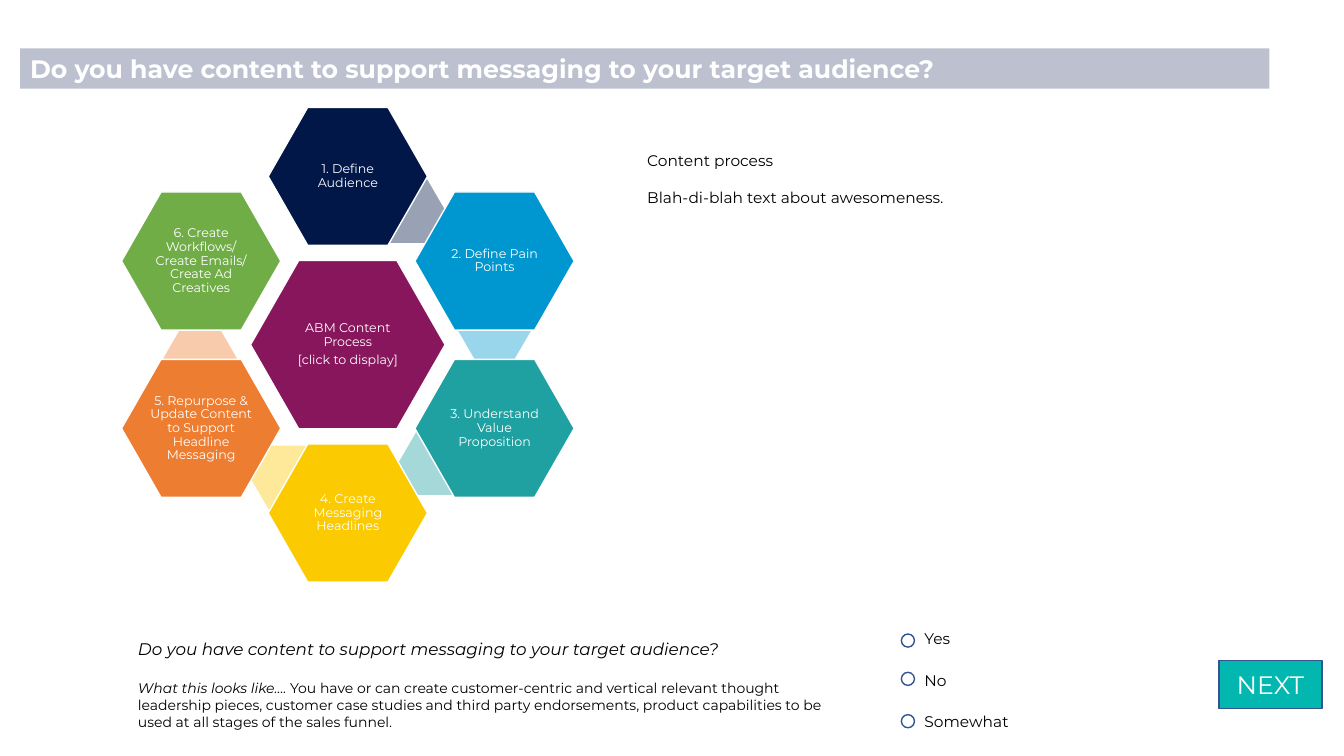
from lxml import etree
from pptx import Presentation
from pptx.dml.color import RGBColor
from pptx.enum import shapes, text
from pptx.oxml.ns import qn
from pptx.util import Inches, Pt

FONT = "Montserrat"
WHITE = RGBColor(0xFF, 0xFF, 0xFF)
BLACK = RGBColor(0x00, 0x00, 0x00)
BANNER = RGBColor(0x00, 0x0F, 0x48)
OUTLINE = RGBColor(0x32, 0x54, 0x91)
TURQUOISE = RGBColor(0x01, 0xB7, 0xB0)
PLUM = RGBColor(0x87, 0x16, 0x5C)
NAVY = RGBColor(0x00, 0x17, 0x48)
BLUE = RGBColor(0x00, 0x96, 0xCF)
TEAL = RGBColor(0x1F, 0xA0, 0xA1)
YELLOW = RGBColor(0xFB, 0xCA, 0x00)
ORANGE = RGBColor(0xED, 0x7D, 0x31)
GREEN = RGBColor(0x70, 0xAD, 0x47)

prs = Presentation()
prs.slide_width, prs.slide_height = Inches(13.33), Inches(7.5)
slide = prs.slides.add_slide(prs.slide_layouts[6])


def add_block(kind, left, top, width, height, fill, line=None, opacity=100):
    """Add a flat preset shape; opacity is a percentage."""
    block = slide.shapes.add_shape(
        kind, Inches(left), Inches(top), Inches(width), Inches(height))
    block.shadow.inherit = False
    block.fill.solid()
    block.fill.fore_color.rgb = fill
    if opacity < 100:
        color = block.fill._xPr.find(qn("a:solidFill"))[0]
        etree.SubElement(color, qn("a:alpha"), val=str(opacity * 1000))
    if line is None:
        block.line.fill.background()
    else:
        block.line.color.rgb = line
        block.line.width = Pt(1)
    return block


def write(frame, paragraphs, color, align=text.PP_ALIGN.LEFT,
          anchor=text.MSO_ANCHOR.TOP, **spacing):
    """Fill a frame with paragraphs, each a list of (wording, size, style) runs."""
    frame.word_wrap = True
    frame.vertical_anchor = anchor
    for number, runs in enumerate(paragraphs):
        paragraph = frame.add_paragraph() if number else frame.paragraphs[0]
        paragraph.alignment = align
        for name, value in spacing.items():
            if number or name != "space_before":
                setattr(paragraph, name, value)
        for wording, size, style in runs:
            run = paragraph.add_run()
            run.text = wording
            run.font.name, run.font.size = FONT, Pt(size)
            run.font.color.rgb = color
            for name, value in style.items():
                setattr(run.font, name, value)


# Title banner
QUESTION = "Do you have content to support messaging to your target audience?"
banner = add_block(shapes.MSO_SHAPE.RECTANGLE, 0.2, 0.48, 12.39, 0.4, BANNER, opacity=26)
write(banner.text_frame, [[(QUESTION, 18, {"bold": True})]], WHITE)

# Hexagon cycle: centre offset from the hub, then the link behind each step
HUB_X, HUB_Y = 3.45, 3.42
STEP_W, STEP_H = 1.58, 1.37
SIDE_X, SIDE_Y, END_Y = 1.455, 0.83, 1.67
LINK_W, LINK_H = 0.73, 0.63
steps = [
    ("1. Define Audience", NAVY, (0, -END_Y), (3.69, 1.78)),
    ("2. Define Pain Points", BLUE, (SIDE_X, -SIDE_Y), (4.54, 2.96)),
    ("3. Understand Value Proposition", TEAL, (SIDE_X, SIDE_Y), (3.95, 4.28)),
    ("4. Create Messaging Headlines", YELLOW, (0, END_Y), (2.48, 4.42)),
    ("5. Repurpose & Update Content to Support Headline Messaging", ORANGE,
     (-SIDE_X, SIDE_Y), (1.62, 3.24)),
    ("6. Create Workflows/ Create Emails/ Create Ad Creatives", GREEN,
     (-SIDE_X, -SIDE_Y), None),
]
hexagons = [(["ABM Content Process", "[click to display]"], PLUM, (0, 0), None, 1.93, 1.67)]
hexagons += [([label], color, offset, link, STEP_W, STEP_H)
             for label, color, offset, link in steps]

for labels, color, (dx, dy), link, width, height in hexagons:
    if link:
        band = add_block(shapes.MSO_SHAPE.HEXAGON, *link, LINK_W, LINK_H, color, opacity=40)
        band.adjustments[0] = 0.29
    step = add_block(shapes.MSO_SHAPE.HEXAGON, HUB_X + dx - width / 2,
                     HUB_Y + dy - height / 2, width, height, color, WHITE)
    step.adjustments[0] = 0.286
    frame = step.text_frame
    for side in ("left", "top", "right", "bottom"):
        setattr(frame, f"margin_{side}", Inches(0.01))
    write(frame, [[(label, 9, {})] for label in labels], WHITE, text.PP_ALIGN.CENTER,
          text.MSO_ANCHOR.MIDDLE, line_spacing=0.9, space_after=Pt(3.15))

# Text boxes: place, paragraphs, gap between paragraphs
EXPLANATION = (
    " You have or can create customer-centric and vertical relevant thought leadership "
    "pieces, customer case studies and third party endorsements, product capabilities "
    "to be used at all stages of the sales funnel.")
ITALIC = {"italic": True}
notes = [
    ((6.32, 1.45, 4.25, 0.84),
     [[("Content process", 11, {})], [("Blah-di-blah text about awesomeness.", 11, {})]], 13.4),
    ((1.27, 6.29, 7.14, 1.01),
     [[(QUESTION, 12, ITALIC)],
      [("What this looks like….", 10, ITALIC), (EXPLANATION, 10, {})]], 14.6),
]

# Answer options
answers = [("Yes", 6.29, 6.19), ("No", 6.67, 6.61), ("Somewhat", 7.09, 7.02)]
for answer, button_top, label_top in answers:
    add_block(shapes.MSO_SHAPE.OVAL, 8.94, button_top, 0.13, 0.13, WHITE, OUTLINE)
    notes.append(((9.07, label_top, 2.31, 0.29), [[(answer, 11, {})]], 0))

for place, paragraphs, gap in notes:
    note = slide.shapes.add_textbox(*map(Inches, place))
    write(note.text_frame, paragraphs, BLACK, space_before=Pt(gap))

# Next button
next_button = add_block(shapes.MSO_SHAPE.RECTANGLE, 12.09, 6.55, 1.02, 0.48, TURQUOISE, OUTLINE)
write(next_button.text_frame, [[("NEXT", 18, {})]], WHITE,
      text.PP_ALIGN.CENTER, text.MSO_ANCHOR.MIDDLE)

prs.save("out.pptx")
